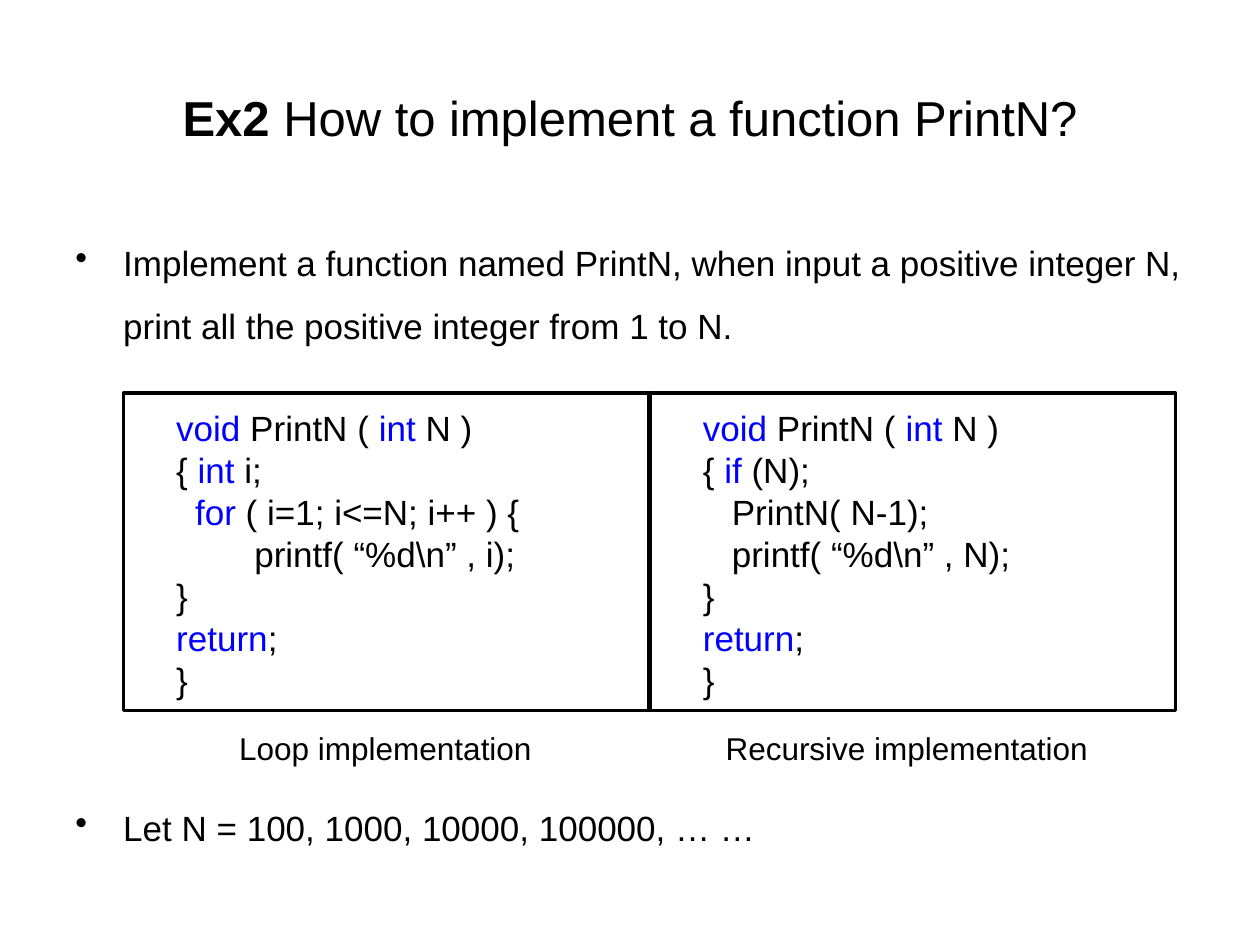
from pptx import Presentation
from pptx.dml.color import RGBColor
from pptx.enum.shapes import MSO_SHAPE
from pptx.enum.text import MSO_ANCHOR, PP_ALIGN
from pptx.oxml.xmlchemy import OxmlElement
from pptx.util import Inches, Pt

# Content
FONT = "Arial"
COLORS = {"text": "000000", "keyword": "0000FF"}
KEYWORDS = {"void", "int", "for", "if", "return"}
TITLE = [("Ex2 ", True), ("How to implement a function PrintN?", False)]
# text, line spacing, points before, points after
BULLETS = [
    ("Implement a function named PrintN, when input a positive integer N, "
     "print all the positive integer from 1 to N.", 1.5, 4, 6),
    ("Let N = 100, 1000, 10000, 100000, … …", 1.0, 257, 0),
]
# Code lines: (indent in inches, pieces)
PANELS = [
    {"caption": "Loop implementation", "caption_width": 2.54, "code": [
        (0, ["void", " PrintN ( ", "int", " N )"]),
        (0, ["{ ", "int", " i;"]),
        (0.15, ["for", " ( i=1; i<=N; i++ ) {"]),
        (0.62, ["printf( “%d\\n” , i);"]),
        (0, ["}"]),
        (0, ["return", ";"]),
        (0, ["}"]),
    ]},
    {"caption": "Recursive implementation", "caption_width": 3.18, "code": [
        (0, ["void", " PrintN ( ", "int", " N )"]),
        (0, ["{ ", "if", " (N);"]),
        (0.23, ["PrintN( N-1);"]),
        (0.23, ["printf( “%d\\n” , N);"]),
        (0, ["}"]),
        (0, ["return", ";"]),
        (0, ["}"]),
    ]},
]

# Layout, in inches
MARGIN, CONTENT_W = 0.5, 9
PANEL_X, PANEL_Y, PANEL_W, PANEL_H = 0.98, 3.12, 4.17, 2.52
PITCH = 4.18
CODE_DX, CODE_DY, CODE_W = 0.32, 0.06, 3.69
CAPTION_Y, CAPTION_H = 5.74, 0.4
CAPTION_CENTER = 2.09


def color(name):
    return RGBColor.from_string(COLORS[name])


def add_text(s, x, y, w, h, wrap=True):
    tf = s.shapes.add_textbox(*map(Inches, (x, y, w, h))).text_frame
    tf.word_wrap = wrap
    return tf


def next_paragraph(tf, index, size):
    p = tf.paragraphs[0] if index == 0 else tf.add_paragraph()
    p.font.name, p.font.size = FONT, Pt(size)
    p.font.color.rgb = color("text")
    return p


def add_run(p, text):
    r = p.add_run()
    r.text = text
    return r


def set_indent(p, left, first=0):
    pPr = p._p.get_or_add_pPr()
    pPr.set("marL", str(Inches(left)))
    pPr.set("indent", str(Inches(first)))
    return pPr


def add_bullet(p):
    bullet = OxmlElement("a:buChar")
    bullet.set("char", "•")
    set_indent(p, 0.38, -0.38).insert_element_before(
        bullet, "a:tabLst", "a:defRPr", "a:extLst")


def add_panel(s, column, panel):
    x = PANEL_X + column * PITCH
    # Frame
    sp = s.shapes.add_shape(
        MSO_SHAPE.RECTANGLE, *map(Inches, (x, PANEL_Y, PANEL_W, PANEL_H)))
    sp.shadow.inherit = False
    sp.fill.background()
    sp.line.color.rgb, sp.line.width = color("text"), Pt(2)
    # Code with coloured keywords
    tf = add_text(s, x + CODE_DX, PANEL_Y + CODE_DY, CODE_W, PANEL_H - CODE_DY)
    for i, (indent, pieces) in enumerate(panel["code"]):
        p = next_paragraph(tf, i, 20)
        set_indent(p, indent)
        for piece in pieces:
            r = add_run(p, piece)
            r.font.color.rgb = color("keyword" if piece in KEYWORDS else "text")
    # Caption
    w = panel["caption_width"]
    tf = add_text(s, x + CAPTION_CENTER - w / 2, CAPTION_Y, w, CAPTION_H, False)
    add_run(next_paragraph(tf, 0, 18), panel["caption"])


def main():
    prs = Presentation()
    prs.slide_width, prs.slide_height = Inches(10), Inches(7.5)
    s = prs.slides.add_slide(prs.slide_layouts[6])

    # Bullets above and below the panels
    tf = add_text(s, MARGIN, 1.7, CONTENT_W, 5.2)
    for i, (text, spacing, before, after) in enumerate(BULLETS):
        p = next_paragraph(tf, i, 20)
        p.line_spacing = spacing
        p.space_before, p.space_after = Pt(before), Pt(after)
        add_bullet(p)
        add_run(p, text)

    # Title
    tf = add_text(s, MARGIN, 0.3, CONTENT_W, 1.25)
    tf.vertical_anchor = MSO_ANCHOR.MIDDLE
    p = next_paragraph(tf, 0, 28)
    p.alignment = PP_ALIGN.CENTER
    for text, bold in TITLE:
        add_run(p, text).font.bold = bold

    # Code panels
    for column, panel in enumerate(PANELS):
        add_panel(s, column, panel)

    prs.save("out.pptx")


if __name__ == "__main__":
    main()
